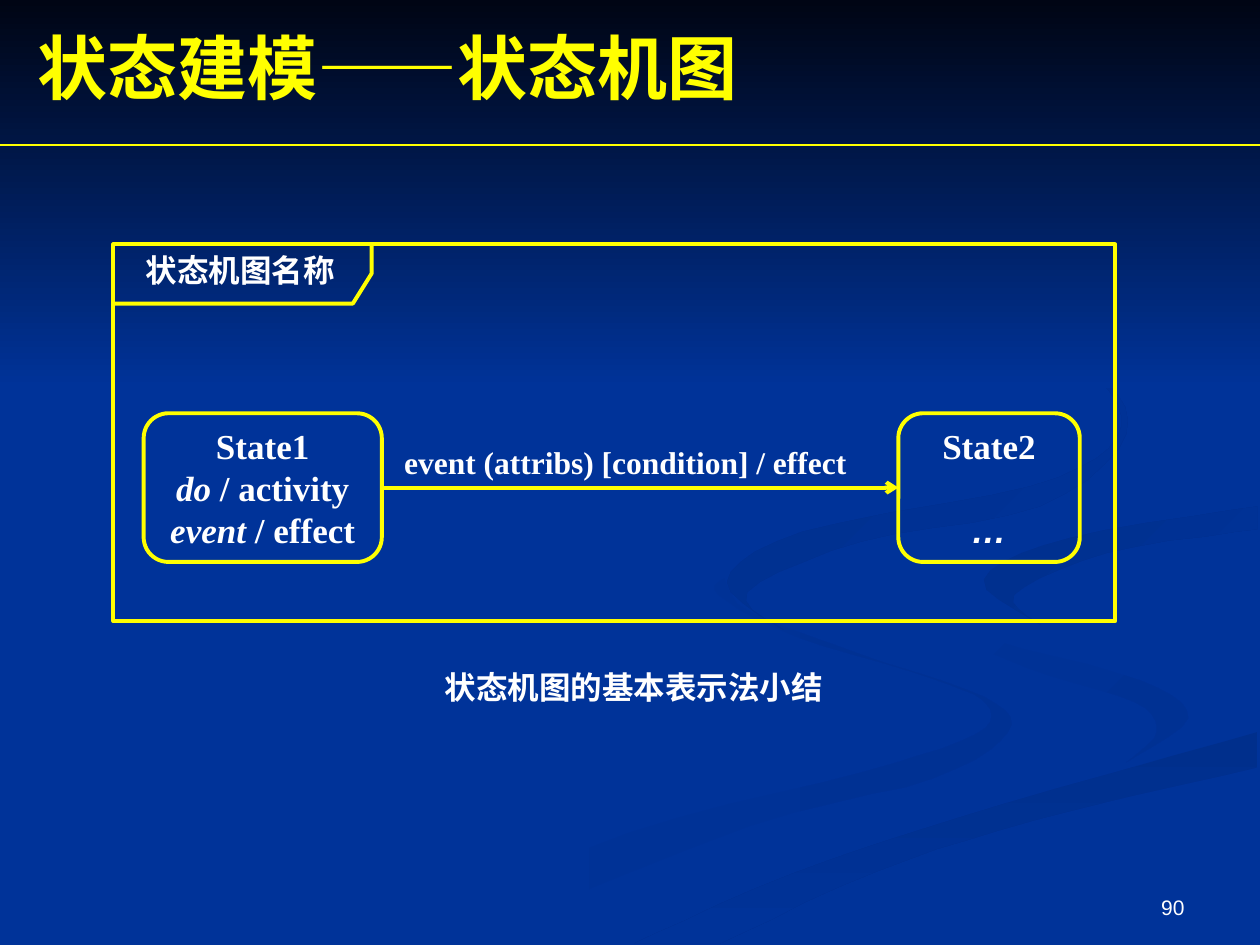
from lxml.etree import SubElement
from pptx import Presentation
from pptx.dml.color import RGBColor
from pptx.enum.shapes import MSO_CONNECTOR, MSO_SHAPE
from pptx.enum.text import MSO_ANCHOR, PP_ALIGN
from pptx.oxml.ns import qn
from pptx.util import Inches, Pt

BLUE = RGBColor(0x00, 0x33, 0x99)
NIGHT = RGBColor(0x00, 0x05, 0x14)
SHADE_LIGHT = RGBColor(0x00, 0x31, 0x93)
SHADE_DARK = RGBColor(0x00, 0x2F, 0x8C)
YELLOW = RGBColor(0xFF, 0xFF, 0x00)
WHITE = RGBColor(0xFF, 0xFF, 0xFF)
SERIF, SANS = "Times New Roman", "Arial"

prs = Presentation()
prs.slide_width, prs.slide_height = Inches(10), Inches(7.5)
U = prs.slide_width // 1000  # grid unit: the slide is 1000 x 750 units
slide = prs.slides.add_slide(prs.slide_layouts[5])
shapes = slide.shapes
slide.background.fill.solid()
slide.background.fill.fore_color.rgb = BLUE


def smooth_curve(knots, steps=5):
    """Return points on a Catmull-Rom curve through the knots."""
    padded = [knots[0], *knots, knots[-1]]
    curve = []
    for a, b, c, d in zip(padded, padded[1:], padded[2:], padded[3:]):
        for t in (step / steps for step in range(steps)):
            curve.append(tuple(
                q + t / 2 * (r - p + t * (2 * p - 5 * q + 4 * r - s + t * (3 * (q - r) + s - p)))
                for p, q, r, s in zip(a, b, c, d)))
    return curve + [knots[-1]]


def add_label(box, text, size, font=SERIF, bold=True, align=PP_ALIGN.LEFT):
    label = shapes.add_textbox(*(v * U for v in box))
    label.text_frame.word_wrap = True
    paragraph = label.text_frame.paragraphs[0]
    paragraph.text, paragraph.alignment = text, align
    paragraph.font.name, paragraph.font.size = font, Pt(size)
    paragraph.font.bold, paragraph.font.color.rgb = bold, WHITE
    return label


# Background ribbons: start colour, end colour, clockwise angle, both edges
ribbons = [
    (BLUE, SHADE_LIGHT, 0,
     [(575, 459), (570, 472), (631, 505), (741, 539), (783, 559), (774, 583),
      (684, 613), (499, 661), (300, 749)],
     [(575, 459), (594, 485), (682, 519), (781, 553), (800, 581), (740, 618),
      (594, 656), (361, 749)]),
    (BLUE, SHADE_LIGHT, 45,
     [(724, 464), (733, 483), (792, 509), (905, 540), (943, 570), (894, 605)],
     [(724, 464), (739, 494), (815, 530), (900, 557), (918, 581), (894, 605)]),
    (SHADE_DARK, BLUE, 90,
     [(503, 749), (630, 693), (797, 638), (998, 581)],
     [(571, 749), (695, 692), (821, 651), (998, 609)]),
    (SHADE_DARK, BLUE, 45,
     [(826, 496), (781, 460), (849, 427), (998, 402)],
     [(826, 496), (805, 472), (878, 439), (998, 420)]),
    (SHADE_DARK, BLUE, 45,
     [(762, 233), (864, 291), (894, 344), (825, 402), (683, 430), (593, 470), (622, 500)],
     [(762, 233), (870, 299), (886, 348), (818, 386), (637, 422), (577, 462), (622, 500)]),
    (NIGHT, BLUE, 90, [(0, 0), (1000, 0)], [(0, 308), (1000, 308)]),
]
for start, end, angle, near_edge, far_edge in ribbons:
    points = smooth_curve(near_edge) + smooth_curve(far_edge)[::-1]
    builder = shapes.build_freeform(*points[0], scale=U)
    builder.add_line_segments(points[1:], close=True)
    ribbon = builder.convert_to_shape()
    ribbon.shadow.inherit = False
    ribbon.line.fill.background()
    ribbon.fill.gradient()
    ribbon.fill.gradient_angle = (360 - angle) % 360
    for stop, color in zip(ribbon.fill.gradient_stops, (start, end)):
        stop.color.rgb = color

# Title, raised above the background band
title = shapes.title
title.element.getparent().append(title.element)
title.left, title.top, title.width, title.height = 20 * U, 14 * U, 900 * U, 77 * U
title.text_frame.vertical_anchor = MSO_ANCHOR.MIDDLE
heading = title.text_frame.paragraphs[0]
heading.alignment = PP_ALIGN.LEFT
heading.font.size, heading.font.bold, heading.font.color.rgb = Pt(40), True, YELLOW
for text, font in (("状态建模", SERIF), ("——", SANS), ("状态机图", SERIF)):
    run = heading.add_run()
    run.text, run.font.name = text, font

# Diagram frame with its name tab
frame = shapes.add_shape(MSO_SHAPE.RECTANGLE, 90 * U, 194 * U, 795 * U, 299 * U)
builder = shapes.build_freeform(295, 194, scale=U)
builder.add_line_segments([(295, 217), (280, 241), (90, 241)], close=False)
outlined = [frame, builder.convert_to_shape()]

# States: left, width, lines of (text, italic, font) runs, gap before last line
states = [
    (114, 189, [[("State1", False, SERIF)],
                [("do", True, SERIF), (" / activity", False, SERIF)],
                [("event ", True, SERIF), ("/ effect", False, SERIF)]], 0),
    (713, 144, [[("State2", False, SERIF)], [("…", True, SANS)]], 24),
]
for left, width, lines, gap in states:
    state = shapes.add_shape(MSO_SHAPE.ROUNDED_RECTANGLE, left * U, 328 * U, width * U, 118 * U)
    outlined.append(state)
    body = state.text_frame
    body.word_wrap, body.vertical_anchor = False, MSO_ANCHOR.MIDDLE
    for i, runs in enumerate(lines):
        paragraph = body.add_paragraph() if i else body.paragraphs[0]
        paragraph.alignment = PP_ALIGN.CENTER
        paragraph.font.size, paragraph.font.bold = Pt(20), True
        paragraph.font.color.rgb = WHITE
        for text, italic, font in runs:
            run = paragraph.add_run()
            run.text, run.font.italic, run.font.name = text, italic, font
    paragraph.space_before = Pt(gap)
for part in outlined:
    part.shadow.inherit = False
    part.fill.background()
    part.line.color.rgb, part.line.width = YELLOW, Pt(2.25)

# Title rule and transition arrow: start x, end x, y, weight, arrowhead
for start, end, y, weight, arrow in ((0, 1000, 115, 0.75, False), (303, 713, 387, 2.25, True)):
    line = shapes.add_connector(MSO_CONNECTOR.STRAIGHT, start * U, y * U, end * U, y * U)
    line.line.color.rgb, line.line.width = YELLOW, Pt(weight)
    if arrow:
        SubElement(line.element.spPr.find(qn("a:ln")), qn("a:tailEnd"), type="arrow")
    SubElement(line.element.spPr, qn("a:effectLst"))

add_label((311, 347, 386, 40), "event (attribs) [condition] / effect", 18)
add_label((106, 194, 173, 40), "状态机图名称", 18)
add_label((343, 525, 347, 40), "状态机图的基本表示法小结", 18)
page = add_label((717, 683, 233, 52), "90", 12, SANS, False, PP_ALIGN.RIGHT)
page.text_frame.vertical_anchor = MSO_ANCHOR.BOTTOM

prs.save("out.pptx")
